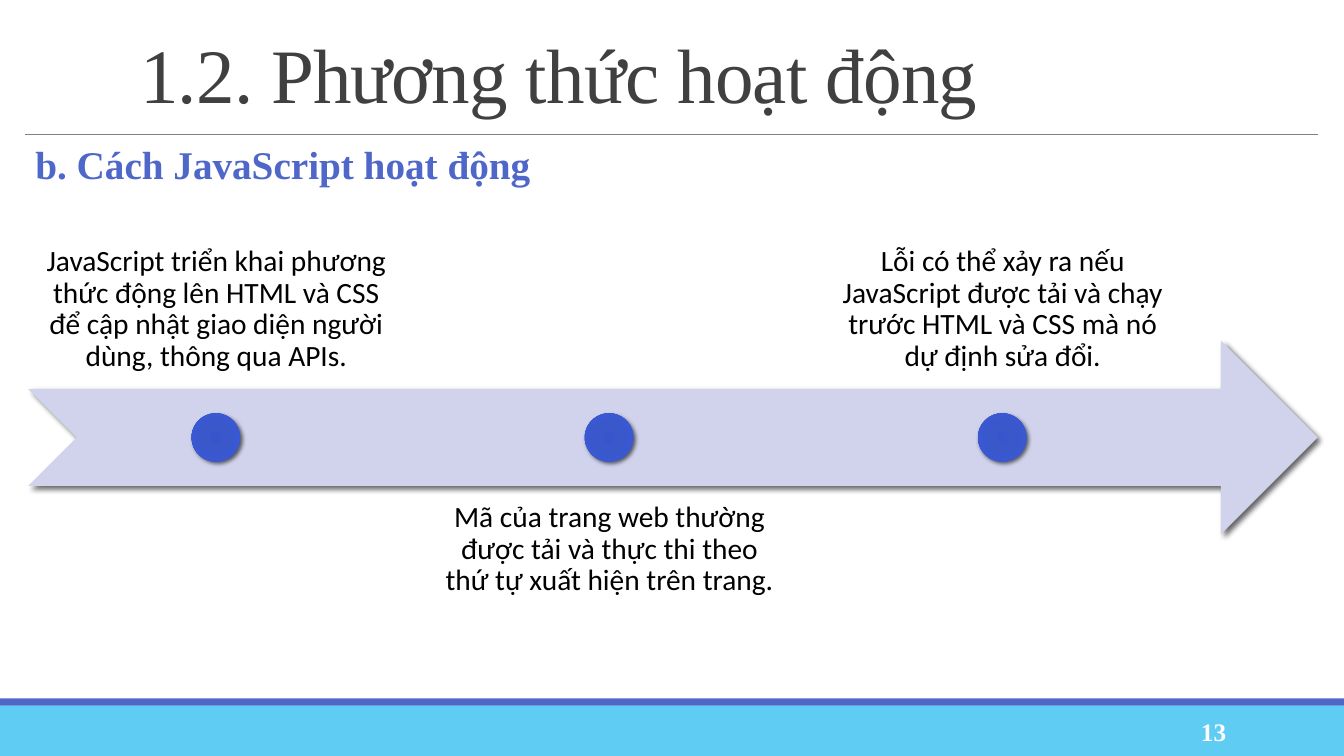
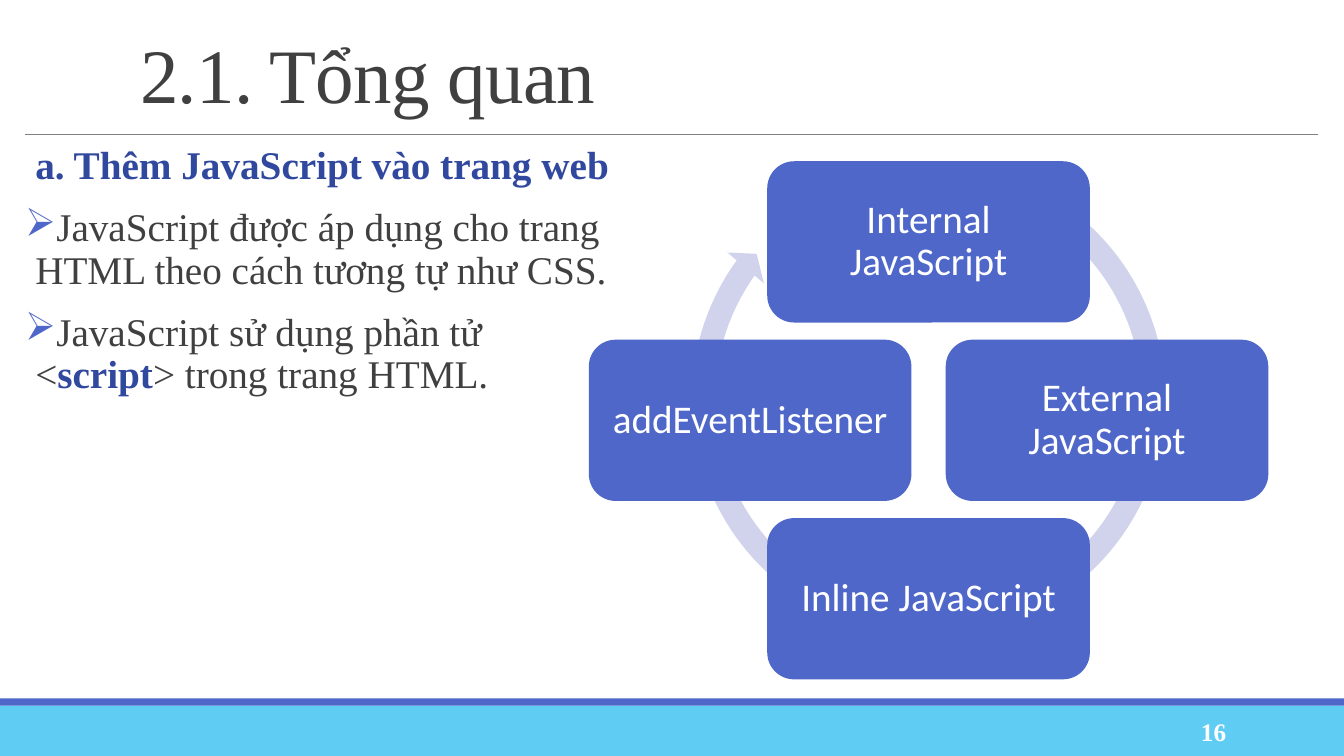
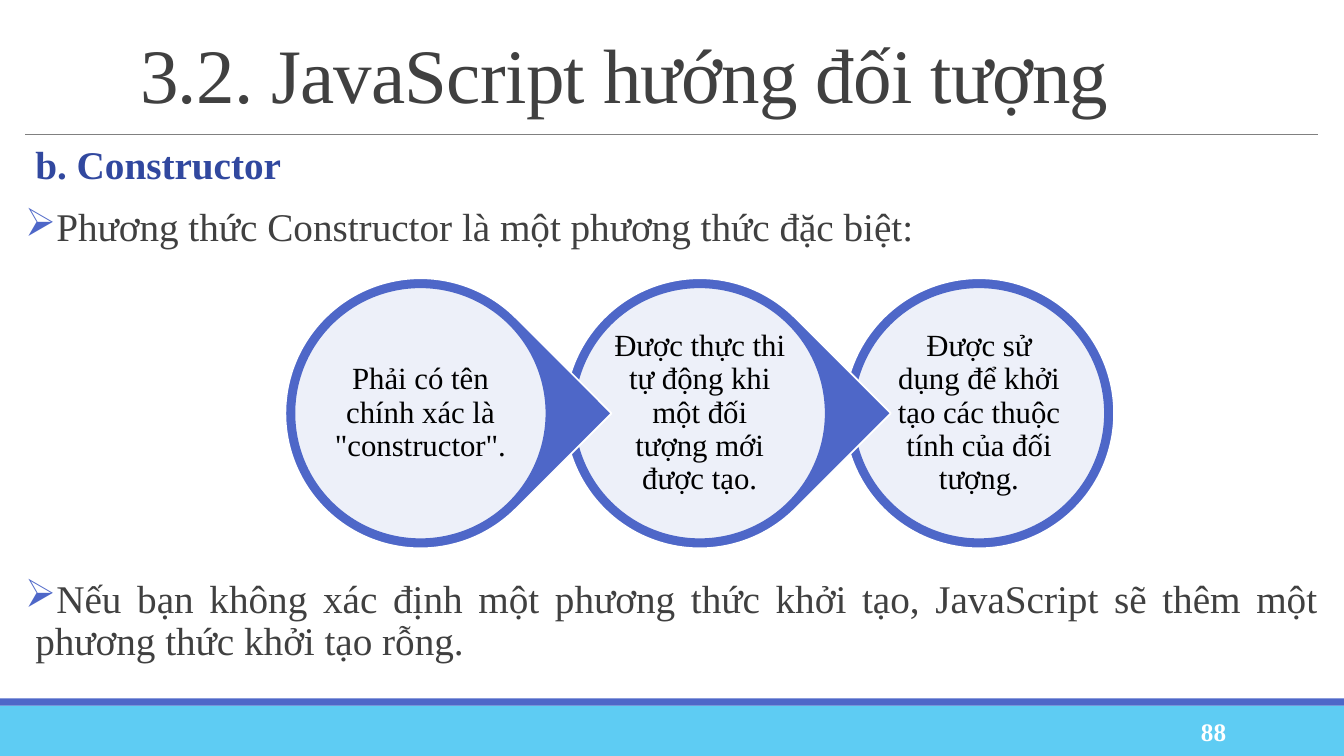
from dataclasses import dataclass

import lxml.etree
import pptx
import pptx.dml.color
import pptx.enum.shapes
import pptx.enum.text
import pptx.oxml
import pptx.oxml.ns
import pptx.shapes.autoshape
import pptx.slide
import pptx.util

RGBColor = pptx.dml.color.RGBColor
Preset = pptx.enum.shapes.MSO_SHAPE
Align = pptx.enum.text.PP_ALIGN
Anchor = pptx.enum.text.MSO_ANCHOR
Shape = pptx.shapes.autoshape.Shape
Slide = pptx.slide.Slide
qn = pptx.oxml.ns.qn

EMU_PER_PX = 9144
PAGE_WIDTH, PAGE_HEIGHT = 1333, 750
MARGIN = 25
CONTENT_WIDTH = 1282

WHITE = RGBColor(0xFF, 0xFF, 0xFF)
BLACK = RGBColor(0x00, 0x00, 0x00)
INK = RGBColor(0x40, 0x40, 0x40)
RULE_GREY = RGBColor(0x80, 0x80, 0x80)
SKY = RGBColor(0x5E, 0xCC, 0xF3)
INDIGO = RGBColor(0x4E, 0x67, 0xC8)
NAVY = RGBColor(0x31, 0x48, 0x9F)
LAVENDER = RGBColor(0xD0, 0xD3, 0xEB)
DOT_STOPS = ((0, "3856CB"), (34, "3B58CB"), (70, "3958D1"), (100, "4863CE"))

SERIF = "Times New Roman"
SANS = "Calibri"


@dataclass(frozen=True)
class Span:
    text: str
    color: RGBColor = INK
    bold: bool = False


@dataclass(frozen=True)
class BodyLine:
    spans: tuple[Span, ...]
    bulleted: bool = True
    space_before: int = 12


@dataclass(frozen=True)
class TextStyle:
    font: str
    size: int
    color: RGBColor
    bold: bool = False
    align: Align = Align.CENTER
    anchor: Anchor = Anchor.MIDDLE
    line_spacing: float = 0.9


@dataclass(frozen=True)
class Milestone:
    text: str
    top: int
    anchor: Anchor


@dataclass(frozen=True)
class CycleStep:
    text: str
    across: int
    down: int


TITLE_STYLE = TextStyle(SERIF, 55, INK, align=Align.LEFT, line_spacing=0.85)
NUMBER_STYLE = TextStyle(SERIF, 18, WHITE, bold=True, align=Align.RIGHT, line_spacing=1.0)
CYCLE_STYLE = TextStyle(SANS, 28, WHITE)
CIRCLE_STYLE = TextStyle(SERIF, 22, BLACK)

MILESTONES = (
    Milestone("JavaScript triển khai phương thức động lên HTML và CSS để cập nhật "
              "giao diện người dùng, thông qua APIs.", 194, Anchor.BOTTOM),
    Milestone("Mã của trang web thường được tải và thực thi theo thứ tự xuất hiện "
              "trên trang.", 482, Anchor.TOP),
    Milestone("Lỗi có thể xảy ra nếu JavaScript được tải và chạy trước HTML và CSS "
              "mà nó dự định sửa đổi.", 194, Anchor.BOTTOM),
)
CYCLE_STEPS = (
    CycleStep("Internal JavaScript", 0, -1),
    CycleStep("External JavaScript", 1, 0),
    CycleStep("Inline JavaScript", 0, 1),
    CycleStep("addEventListener", -1, 0),
)
CONSTRUCTOR_RULES = (
    "Phải có tên chính xác là \"constructor\".",
    "Được thực thi tự động khi một đối tượng mới được tạo.",
    "Được sử dụng để khởi tạo các thuộc tính của đối tượng.",
)


def px(length: int) -> pptx.util.Emu:
    return pptx.util.Emu(length * EMU_PER_PX)


def add_preset(page: Slide, preset: Preset, left: int, top: int, width: int, height: int,
               color: RGBColor) -> Shape:
    """Add a flat, borderless preset shape."""
    shape = page.shapes.add_shape(preset, px(left), px(top), px(width), px(height))
    shape.shadow.inherit = False
    shape.fill.solid()
    shape.fill.fore_color.rgb = color
    shape.line.fill.background()
    return shape


def add_centred(page: Slide, preset: Preset, centre_x: int, centre_y: int, width: int,
                height: int, color: RGBColor) -> Shape:
    return add_preset(page, preset, centre_x - width // 2, centre_y - height // 2,
                      width, height, color)


def add_box(page: Slide, left: int, top: int, width: int, height: int) -> Shape:
    box = page.shapes.add_textbox(px(left), px(top), px(width), px(height))
    box.text_frame.word_wrap = True
    return box


def set_insets(box: Shape, side: int, vertical: int) -> None:
    frame = box.text_frame
    frame.margin_left = frame.margin_right = px(side)
    frame.margin_top = frame.margin_bottom = px(vertical)


def set_text(box: Shape, text: str, style: TextStyle) -> None:
    frame = box.text_frame
    frame.text = text
    frame.word_wrap = True
    frame.vertical_anchor = style.anchor
    paragraph = frame.paragraphs[0]
    paragraph.alignment = style.align
    paragraph.line_spacing = style.line_spacing
    font = paragraph.runs[0].font
    font.name = style.font
    font.size = pptx.util.Pt(style.size)
    font.bold = style.bold
    font.color.rgb = style.color


def set_outline(shape: Shape, color: RGBColor) -> None:
    shape.line.color.rgb = color
    shape.line.width = pptx.util.Pt(1.25)


def add_shadow(shape: Shape) -> None:
    effects = shape._element.spPr.find(qn("a:effectLst"))
    shadow = lxml.etree.SubElement(effects, qn("a:outerShdw"), blurRad="38100",
                                   dist="25400", dir="2700000", algn="ctr", rotWithShape="0")
    color = lxml.etree.SubElement(shadow, qn("a:srgbClr"), val=str(BLACK))
    lxml.etree.SubElement(color, qn("a:alpha"), val="60000")


def set_radial_fill(shape: Shape, stops: tuple[tuple[int, str], ...]) -> None:
    stop_xml = "".join(f'<a:gs pos="{percent * 1000}"><a:srgbClr val="{color}"/></a:gs>'
                       for percent, color in stops)
    gradient = pptx.oxml.parse_xml(
        f'<a:gradFill {pptx.oxml.ns.nsdecls("a")} rotWithShape="1"><a:gsLst>{stop_xml}</a:gsLst>'
        '<a:path path="circle"><a:fillToRect l="100000" t="100000" r="100000" b="100000"/>'
        '</a:path></a:gradFill>')
    properties = shape._element.spPr
    properties.replace(properties.find(qn("a:solidFill")), gradient)


def set_opacity(shape: Shape, percent: int) -> None:
    color = shape._element.spPr.find(qn("a:solidFill"))[0]
    lxml.etree.SubElement(color, qn("a:alpha"), val=str(percent * 1000))


def add_page(deck: pptx.presentation.Presentation, title: str, number: int) -> Slide:
    """Add a blank page with the shared title, rule, bands and page number."""
    page = deck.slides.add_slide(deck.slide_layouts[6])
    add_preset(page, Preset.RECTANGLE, 0, 700, PAGE_WIDTH, 50, SKY)
    add_preset(page, Preset.RECTANGLE, 0, 693, PAGE_WIDTH, 7, INDIGO)
    rule = page.shapes.add_connector(pptx.enum.shapes.MSO_CONNECTOR.STRAIGHT, px(MARGIN),
                                     px(133), px(MARGIN + CONTENT_WIDTH), px(133))
    rule.line.color.rgb = RULE_GREY
    rule.line.width = pptx.util.Pt(0.5)
    lxml.etree.SubElement(rule._element.spPr, qn("a:effectLst"))

    title_box = add_box(page, 129, 31, 1178, 96)
    set_text(title_box, title, TITLE_STYLE)
    title_run = title_box.text_frame.paragraphs[0].runs[0]
    title_run._r.get_or_add_rPr().set("spc", "-50")
    set_text(add_box(page, 1083, 706, 143, 40), str(number), NUMBER_STYLE)
    return page


def add_body(page: Slide, width: int, align: Align, lines: tuple[BodyLine, ...]) -> None:
    box = add_box(page, MARGIN, 140, width, 534)
    set_insets(box, 0, 5)
    frame = box.text_frame
    for index, line in enumerate(lines):
        paragraph = frame.add_paragraph() if index else frame.paragraphs[0]
        paragraph.alignment = align
        paragraph.line_spacing = 0.9
        paragraph.space_before = pptx.util.Pt(line.space_before if index else 0)
        paragraph.space_after = pptx.util.Pt(2)
        properties = paragraph._p.get_or_add_pPr()
        properties.set("marL", str(px(10)))
        properties.set("indent", str(px(-10) if line.bulleted else 0))
        if line.bulleted:
            bullet_color = lxml.etree.SubElement(properties, qn("a:buClr"))
            lxml.etree.SubElement(bullet_color, qn("a:srgbClr"), val=str(INDIGO))
            lxml.etree.SubElement(properties, qn("a:buChar"), char="➢")
        for span in line.spans:
            run = paragraph.add_run()
            run.text = span.text
            run.font.name = SERIF
            run.font.size = pptx.util.Pt(28)
            run.font.bold = span.bold
            run.font.color.rgb = span.color


def heading(text: str, color: RGBColor = NAVY) -> BodyLine:
    return BodyLine((Span(text, color, True),), bulleted=False)


def draw_timeline(page: Slide) -> None:
    first_centre, step, dot_size = 214, 390, 48
    arrow = add_preset(page, Preset.NOTCHED_RIGHT_ARROW, 28, 338, 1279, 192, LAVENDER)
    add_shadow(arrow)
    for index, milestone in enumerate(MILESTONES):
        centre = first_centre + index * step
        box = add_box(page, centre - 185, milestone.top, 371, 192)
        set_insets(box, 16, 16)
        set_text(box, milestone.text, TextStyle(SANS, 21, BLACK, anchor=milestone.anchor))
        dot = add_centred(page, Preset.OVAL, centre, 434, dot_size, dot_size, INDIGO)
        set_radial_fill(dot, DOT_STOPS)
        add_shadow(dot)


def draw_cycle(page: Slide) -> None:
    centre_x, centre_y, radius = 921, 417, 177
    ring = add_preset(page, Preset.CIRCULAR_ARROW, 674, 149, 494, 494, LAVENDER)
    for index, value in enumerate((0.047, 2.729, 129.395, 179.575, 0.048)):
        ring.adjustments[index] = value
    for step in CYCLE_STEPS:
        card = add_centred(page, Preset.ROUNDED_RECTANGLE, centre_x + step.across * radius,
                           centre_y + step.down * radius, 320, 160, INDIGO)
        set_insets(card, 12, 12)
        set_text(card, step.text, CYCLE_STYLE)


def draw_constructor_chain(page: Slide) -> None:
    """Draw the circles from right to left, so each tip lies over the next circle."""
    first_centre, step, centre_y = 417, 277, 410
    last = len(CONSTRUCTOR_RULES) - 1
    for index in range(last, -1, -1):
        centre = first_centre + index * step
        preset = Preset.OVAL if index == last else Preset.TEAR
        outer = add_centred(page, preset, centre, centre_y, 268, 268, INDIGO)
        outer.rotation = 0 if index == last else 45
        set_outline(outer, WHITE)
        inner = add_centred(page, Preset.OVAL, centre, centre_y, 250, 250, WHITE)
        set_opacity(inner, 90)
        set_outline(inner, INDIGO)
        set_insets(inner, 2, 2)
        set_text(inner, CONSTRUCTOR_RULES[index], CIRCLE_STYLE)


def main() -> None:
    deck = pptx.Presentation()
    deck.slide_width, deck.slide_height = px(PAGE_WIDTH), px(PAGE_HEIGHT)

    page = add_page(deck, "1.2. Phương thức hoạt động", 13)
    add_body(page, CONTENT_WIDTH, Align.JUSTIFY,
             (heading("b. Cách JavaScript hoạt động", INDIGO),))
    draw_timeline(page)

    page = add_page(deck, "2.1. Tổng quan", 16)
    add_body(page, 599, Align.LEFT, (
        heading("a. Thêm JavaScript vào trang web"),
        BodyLine((Span("JavaScript được áp dụng cho trang HTML theo cách tương tự như CSS."),)),
        BodyLine((Span("JavaScript sử dụng phần tử <"), Span("script", NAVY, True),
                  Span("> trong trang HTML."))),
    ))
    draw_cycle(page)

    page = add_page(deck, "3.2. JavaScript hướng đối tượng", 88)
    add_body(page, CONTENT_WIDTH, Align.JUSTIFY, (
        heading("b. Constructor"),
        BodyLine((Span("Phương thức Constructor là một phương thức đặc biệt:"),)),
        BodyLine((Span("Nếu bạn không xác định một phương thức khởi tạo, JavaScript sẽ "
                       "thêm một phương thức khởi tạo rỗng."),), space_before=233),
    ))
    draw_constructor_chain(page)

    deck.save("out.pptx")


if __name__ == "__main__":
    main()
